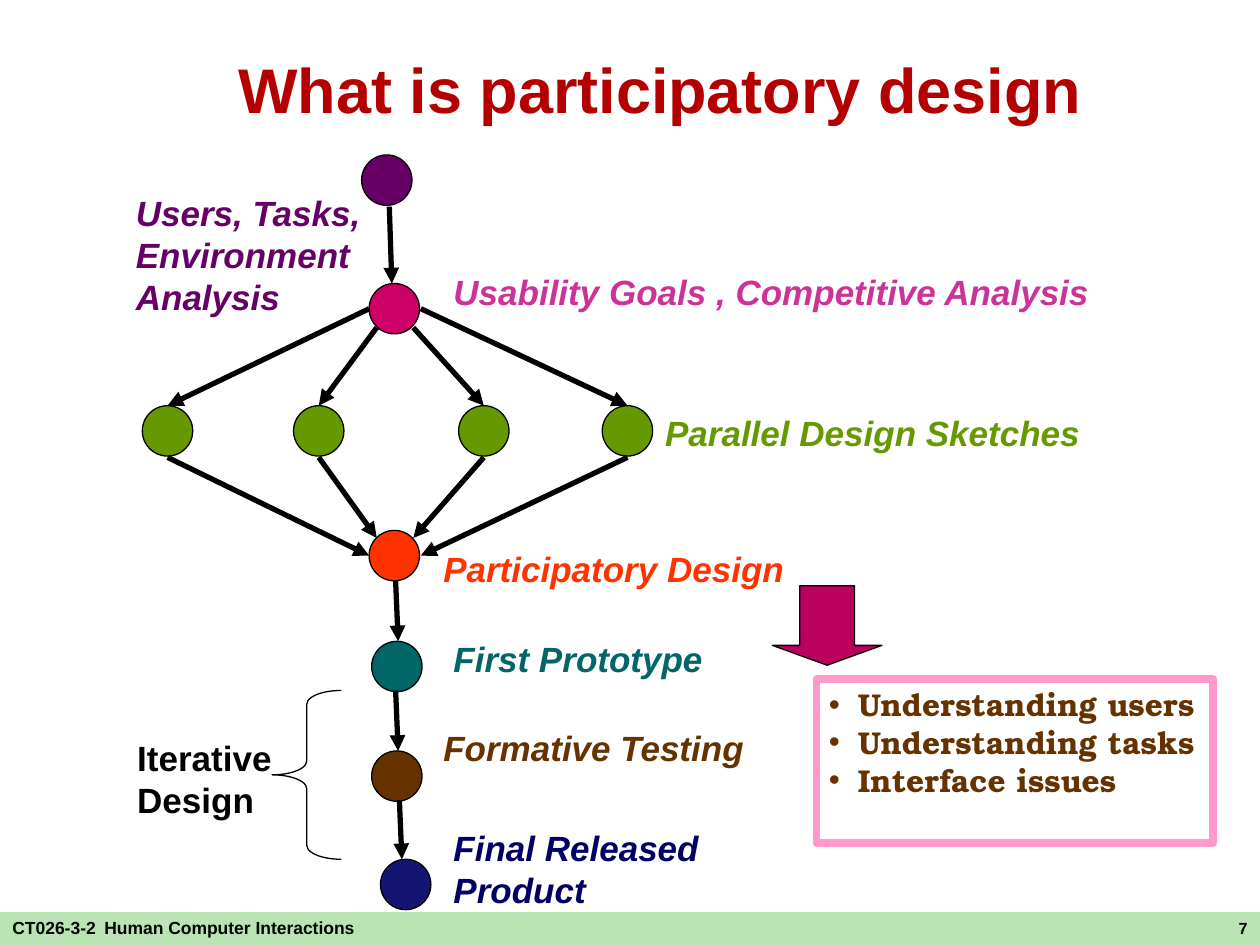
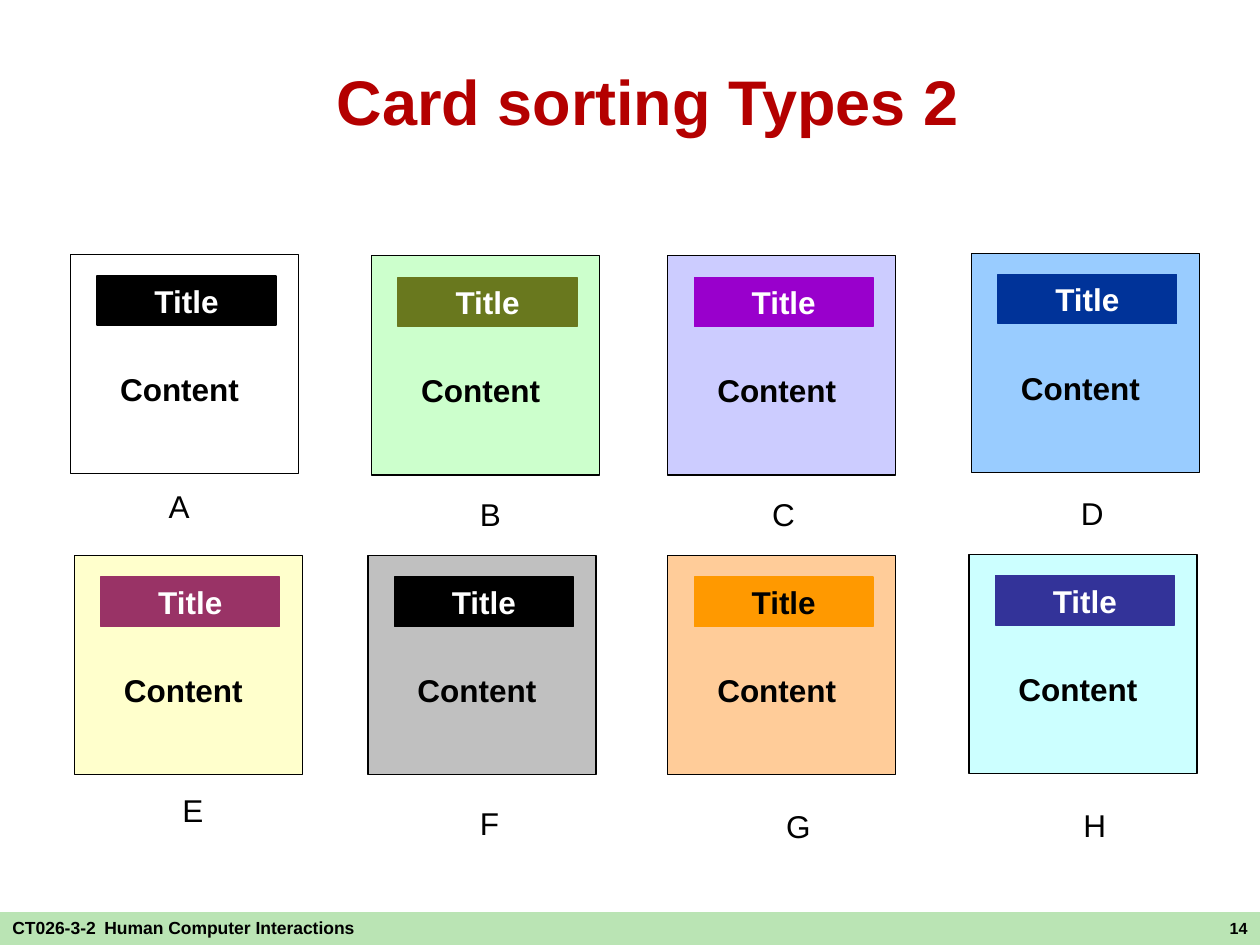
import pptx
import pptx.util
import pptx.dml.color
import pptx.enum.shapes
import pptx.enum.text
import pptx.oxml.ns
import lxml.etree

Inches = pptx.util.Inches
Pt = pptx.util.Pt
KIND = pptx.enum.shapes.MSO_SHAPE
ALIGN = pptx.enum.text.PP_ALIGN
ANCHOR = pptx.enum.text.MSO_ANCHOR
qn = pptx.oxml.ns.qn

COLORS = {
    "black": "000000", "white": "FFFFFF", "title": "B40000", "band": "BAE4B4",
    "purple": "660066", "crimson": "CC0066", "pink": "CC3399", "green": "669900",
    "orange": "FF3300", "teal": "006666", "brown": "663300", "navy": "000066",
    "frame": "FF99CC", "arrow": "BC005E",
    "mint": "CCFFCC", "olive": "69781E", "lilac": "CCCCFF", "violet": "9900CC",
    "sky": "99CCFF", "blue": "003399", "cream": "FFFFCC", "plum": "993366",
    "grey": "C0C0C0", "peach": "FFCC99", "amber": "FF9900",
    "ice": "CCFFFF", "indigo": "333399",
}


def write(holder, text, size=20, color="black", bold=True, italic=False, font="Arial",
          align=ALIGN.LEFT, anchor=ANCHOR.TOP, wrap=True, bullet=False, line_spacing=None):
    """Fill a shape; each line is a string or a list of (text, size) runs."""
    frame = holder.text_frame
    frame.word_wrap = wrap
    frame.auto_size = pptx.enum.text.MSO_AUTO_SIZE.NONE
    frame.vertical_anchor = anchor
    for number, line in enumerate([text] if isinstance(text, str) else text):
        paragraph = frame.add_paragraph() if number else frame.paragraphs[0]
        paragraph.alignment = align
        if line_spacing:
            paragraph.line_spacing = line_spacing
        if bullet:
            properties = paragraph._p.get_or_add_pPr()
            properties.set("marL", str(Inches(0.23)))
            properties.set("indent", str(-Inches(0.23)))
            tint = lxml.etree.SubElement(properties, qn("a:buClr"))
            lxml.etree.SubElement(tint, qn("a:srgbClr"), val=COLORS[color])
            lxml.etree.SubElement(properties, qn("a:buFont"), typeface="Arial")
            lxml.etree.SubElement(properties, qn("a:buChar"), char="•")
        for words, points in [(line, size)] if isinstance(line, str) else line:
            run = paragraph.add_run()
            run.text = words
            run.font.size = Pt(points)
            run.font.name = font
            run.font.bold = bold
            run.font.italic = italic
            run.font.color.rgb = pptx.dml.color.RGBColor.from_string(COLORS[color])


def draw(slide, kind, box, fill=None, line="black", width=0.75):
    """Add a preset shape; fill and line are colour names or None."""
    shape = slide.shapes.add_shape(kind, *map(Inches, box))
    shape.shadow.inherit = False
    if fill:
        shape.fill.solid()
        shape.fill.fore_color.rgb = pptx.dml.color.RGBColor.from_string(COLORS[fill])
    else:
        shape.fill.background()
    if line:
        shape.line.color.rgb = pptx.dml.color.RGBColor.from_string(COLORS[line])
        shape.line.width = Pt(width)
    else:
        shape.line.fill.background()
    return shape


deck = pptx.Presentation()
deck.slide_width, deck.slide_height = Inches(10), Inches(7.5)

# Shared title, band, course name and page number
pages = []
for heading, box, anchor, spacing, page in [
    ("What is participatory design", (0.99, -0.58, 8.5, 1.65), ANCHOR.BOTTOM, 0.97, "7"),
    ("Card sorting Types 2", (1.29, 0.44, 7.7, 0.71), ANCHOR.MIDDLE, None, "14"),
]:
    slide = deck.slides.add_slide(deck.slide_layouts[5])
    title = slide.shapes.title
    title.left, title.top, title.width, title.height = map(Inches, box)
    write(title, heading, size=36, color="title", align=ALIGN.CENTER, anchor=anchor,
          line_spacing=spacing)
    draw(slide, KIND.RECTANGLE, (0, 7.24, 10, 0.26), "band", None)
    course = slide.shapes.add_textbox(*map(Inches, (0, 7.12, 3.71, 0.28)))
    write(course, [[("CT026-3-2", 10), (" ", 18), ("Human Computer Interactions", 10)]])
    number = slide.shapes.add_textbox(*map(Inches, (6.83, 7.24, 3.17, 0.26)))
    write(number, page, size=9.2, align=ALIGN.RIGHT)
    pages.append(slide)
process, cards = pages

# Process steps
NODE = 0.4
sketch_lefts = [1.13, 2.33, 3.64, 4.78]
steps = [(2.87, 1.23, "purple"), (2.93, 2.25, "crimson"), (2.93, 4.21, "orange"),
         (2.95, 5.09, "teal"), (2.95, 5.96, "brown"), (3.02, 6.82, "navy")]
steps += [(left, 3.22, "green") for left in sketch_lefts]
for left, top, color in steps:
    step = draw(process, KIND.OVAL, (left, top, NODE, NODE), color)
    if color == "navy":
        tint = step._element.spPr.find(qn("a:solidFill"))[0]
        lxml.etree.SubElement(tint, qn("a:alpha"), val="92000")

# Arrows: straight down the chain, out to the sketches and back in
arrows = [(x, top, x + 0.02, bottom) for x, top, bottom in [
    (3.09, 1.64, 2.25), (3.14, 4.61, 5.09), (3.14, 5.48, 5.96), (3.17, 6.35, 6.82)]]
fan = zip(sketch_lefts, [2.93, 2.99, 3.28, 3.34], [2.45, 2.6, 2.6, 2.45],
          [4.41, 4.27, 4.27, 4.41])
for left, hub_x, goals_y, design_y in fan:
    middle = left + NODE / 2
    arrows += [(hub_x, goals_y, middle, 3.22), (middle, 3.63, hub_x, design_y)]
for ends in arrows:
    arrow = process.shapes.add_connector(pptx.enum.shapes.MSO_CONNECTOR.STRAIGHT,
                                         *map(Inches, ends))
    arrow.line.color.rgb = pptx.dml.color.RGBColor.from_string(COLORS["black"])
    arrow.line.width = Pt(3)
    lxml.etree.SubElement(arrow.line._get_or_add_ln(), qn("a:tailEnd"), type="triangle")
    lxml.etree.SubElement(arrow._element.spPr, qn("a:effectLst"))

# Step labels
for words, box, color, wrap in [
    ("Users, Tasks, Environment Analysis", (0.98, 1.47, 2.13, 1.1), "purple", True),
    ("Usability Goals , Competitive Analysis", (3.5, 2.1, 5.99, 0.44), "pink", True),
    ("Parallel Design Sketches", (5.18, 3.22, 3.49, 0.44), "green", False),
    ("Participatory Design", (3.42, 4.3, 2.9, 0.44), "orange", False),
    ("First Prototype", (3.5, 5.01, 2.18, 0.44), "teal", False),
    ("Formative Testing", (3.42, 5.72, 2.59, 0.44), "brown", False),
    ("Final Released Product", (3.5, 6.51, 2.21, 0.77), "navy", True),
    ("Iterative Design", (0.99, 5.8, 1.49, 0.77), "black", True),
]:
    label = process.shapes.add_textbox(*map(Inches, box))
    write(label, words, color=color, italic=color != "black", wrap=wrap)

# Iteration brace
brace = draw(process, KIND.LEFT_BRACE, (2.16, 5.48, 0.55, 1.34))
brace.adjustments[0] = 0.2

# Aims of participatory design
aims = draw(process, KIND.RECTANGLE, (6.48, 5.39, 3.15, 1.3), None, "frame", 4.5)
write(aims, ["Understanding users", "Understanding tasks", "Interface issues"], size=18,
      color="brown", font="TeX Gyre Bonum", bullet=True)
pointer = draw(process, KIND.DOWN_ARROW, (6.13, 4.65, 0.87, 0.63), "arrow")
pointer.adjustments[0], pointer.adjustments[1] = 0.5, 0.25

# Cards: letter, card corner, letter corner, card fill, heading fill, heading text
for letter, (left, top), corner, paper, strip, ink in [
    ("A", (0.56, 2.02), (1.24, 3.82), None, "black", "white"),
    ("B", (2.95, 2.03), (3.71, 3.88), "mint", "olive", "white"),
    ("C", (5.3, 2.03), (6.03, 3.88), "lilac", "violet", "white"),
    ("D", (7.71, 2.01), (8.48, 3.87), "sky", "blue", "white"),
    ("E", (0.59, 4.41), (1.35, 6.23), "cream", "plum", "white"),
    ("F", (2.92, 4.41), (3.71, 6.33), "grey", "black", "white"),
    ("G", (5.3, 4.41), (6.14, 6.36), "peach", "amber", "black"),
    ("H", (7.69, 4.4), (8.5, 6.35), "ice", "indigo", "white"),
]:
    draw(cards, KIND.RECTANGLE, (left, top, 1.81, 1.74), paper)
    strip_bar = draw(cards, KIND.RECTANGLE, (left + 0.21, top + 0.17, 1.42, 0.39), strip, strip)
    content = cards.shapes.add_textbox(*map(Inches, (left + 0.28, top + 0.89, 1.24, 0.35)))
    for part, words, color in [(strip_bar, "Title", ink), (content, "Content ", "black")]:
        write(part, words, size=18, color=color, align=ALIGN.CENTER, anchor=ANCHOR.MIDDLE,
              wrap=False)
    caption = cards.shapes.add_textbox(*map(Inches, (*corner, 0.37, 0.4)))
    write(caption, letter, size=18, bold=False, wrap=False)

deck.save("out.pptx")
